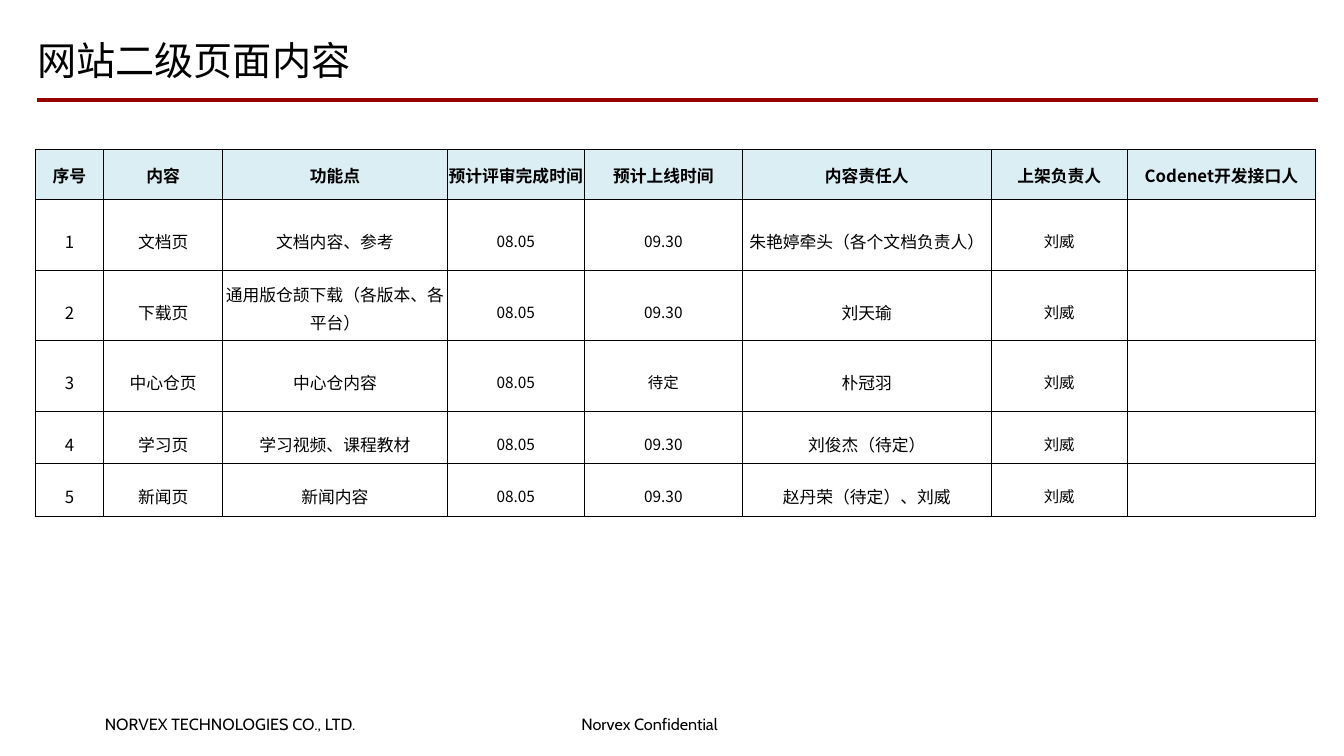
import pptx
import pptx.dml.color
import pptx.enum.shapes
import pptx.enum.text
import pptx.oxml.ns
import pptx.util
from lxml import etree

Inches = pptx.util.Inches
Pt = pptx.util.Pt

# Content
TITLE = "网站二级页面内容"
FOOTERS = [
    # text, left, width
    ("NORVEX TECHNOLOGIES CO., LTD.", 0.95, 2.95),
    ("Norvex Confidential", 5.68, 1.68),
]
HEADERS = ["序号", "内容", "功能点", "预计评审完成时间", "预计上线时间",
           "内容责任人", "上架负责人", "Codenet开发接口人"]
PAGES = [
    ("1", "文档页", "文档内容、参考", "08.05", "09.30", "朱艳婷牵头（各个文档负责人）", "刘威", ""),
    ("2", "下载页", "通用版仓颉下载（各版本、各平台）", "08.05", "09.30", "刘天瑜", "刘威", ""),
    ("3", "中心仓页", "中心仓内容", "08.05", "待定", "朴冠羽", "刘威", ""),
    ("4", "学习页", "学习视频、课程教材", "08.05", "09.30", "刘俊杰（待定）", "刘威", ""),
    ("5", "新闻页", "新闻内容", "08.05", "09.30", "赵丹荣（待定）、刘威", "刘威", ""),
]
COLUMN_WIDTHS = [0.68, 1.18, 2.23, 1.36, 1.57, 2.47, 1.35, 1.87]
ROW_HEIGHTS = [0.5, 0.7, 0.7, 0.7, 0.52, 0.52]
SMALL_COLUMNS = {3, 4, 6}  # dates and publisher are set at 11 pt
LINE_SPACING = 1.5
WRAPPED_LINE_SPACING = 1.15  # keeps two lines inside the row

COLORS = {"text": "000000", "rule": "990000", "border": "000000",
          "header": "DAEEF3", "body": "FFFFFF"}
CJK_FONT = "Noto Sans CJK SC"
FOOTER_FONT = "Cabin"


def rgb(name):
    return pptx.dml.color.RGBColor.from_string(COLORS[name])


def add_run(paragraph, text, size, font_name, bold=False):
    run = paragraph.add_run()
    run.text = text
    run.font.size = Pt(size)
    run.font.bold = bold
    run.font.color.rgb = rgb("text")
    run.font.name = font_name
    east_asian = etree.SubElement(run.font._element, pptx.oxml.ns.qn("a:ea"))
    east_asian.set("typeface", font_name)


def add_text(slide, text, box, size, font_name, wrap):
    frame = slide.shapes.add_textbox(*map(Inches, box)).text_frame
    frame.word_wrap = wrap
    frame.margin_left = frame.margin_right = Inches(0.09)
    frame.margin_top = frame.margin_bottom = Inches(0.05)
    add_run(frame.paragraphs[0], text, size, font_name)
    return frame


def add_borders(cell):
    properties = cell._tc.get_or_add_tcPr()
    for side in ("lnL", "lnR", "lnT", "lnB"):
        line = etree.SubElement(properties, pptx.oxml.ns.qn(f"a:{side}"), w=str(Pt(0.5)))
        fill = etree.SubElement(line, pptx.oxml.ns.qn("a:solidFill"))
        etree.SubElement(fill, pptx.oxml.ns.qn("a:srgbClr"), val=COLORS["border"])


def fill_cell(cell, text, column, is_header):
    add_borders(cell)
    cell.fill.solid()
    cell.fill.fore_color.rgb = rgb("header" if is_header else "body")
    cell.vertical_anchor = pptx.enum.text.MSO_ANCHOR.MIDDLE
    cell.margin_left = cell.margin_right = cell.margin_top = Inches(0.01)
    cell.margin_bottom = 0
    if not text:
        return
    paragraph = cell.text_frame.paragraphs[0]
    paragraph.alignment = pptx.enum.text.PP_ALIGN.CENTER
    size = 11 if column in SMALL_COLUMNS and not is_header else 12
    if not is_header:
        # A Chinese character is as wide as its font size
        wraps = len(text) * Pt(size) > Inches(COLUMN_WIDTHS[column])
        paragraph.line_spacing = WRAPPED_LINE_SPACING if wraps else LINE_SPACING
    add_run(paragraph, text, size, CJK_FONT, bold=is_header)


def main():
    presentation = pptx.Presentation()
    presentation.slide_width = Inches(13.34)
    presentation.slide_height = Inches(7.5)
    slide = presentation.slides.add_slide(presentation.slide_layouts[6])

    # Footer
    for text, left, width in FOOTERS:
        add_text(slide, text, (left, 7.04, width, 0.29), 11.6, FOOTER_FONT, wrap=False)

    # Title and the rule under it
    rule = slide.shapes.add_connector(
        pptx.enum.shapes.MSO_CONNECTOR.STRAIGHT,
        Inches(0.37), Inches(0.99), Inches(13.08), Inches(0.99))
    rule.line.color.rgb = rgb("rule")
    rule.line.width = Pt(3)
    etree.SubElement(rule._element.spPr, pptx.oxml.ns.qn("a:effectLst"))
    title = add_text(slide, TITLE, (0.28, 0.23, 12.85, 0.73), 28, CJK_FONT, wrap=True)
    title.vertical_anchor = pptx.enum.text.MSO_ANCHOR.MIDDLE

    # Page schedule table
    rows = [HEADERS, *PAGES]
    table = slide.shapes.add_table(
        len(rows), len(HEADERS), Inches(0.35), Inches(1.48),
        Inches(sum(COLUMN_WIDTHS)), Inches(sum(ROW_HEIGHTS))).table
    table.horz_banding = False
    table.first_row = False
    for column, width in zip(table.columns, COLUMN_WIDTHS):
        column.width = Inches(width)
    for row, height in zip(table.rows, ROW_HEIGHTS):
        row.height = Inches(height)
    for row_index, values in enumerate(rows):
        for column_index, text in enumerate(values):
            fill_cell(table.cell(row_index, column_index), text,
                      column_index, is_header=row_index == 0)

    presentation.save("out.pptx")


if __name__ == "__main__":
    main()
